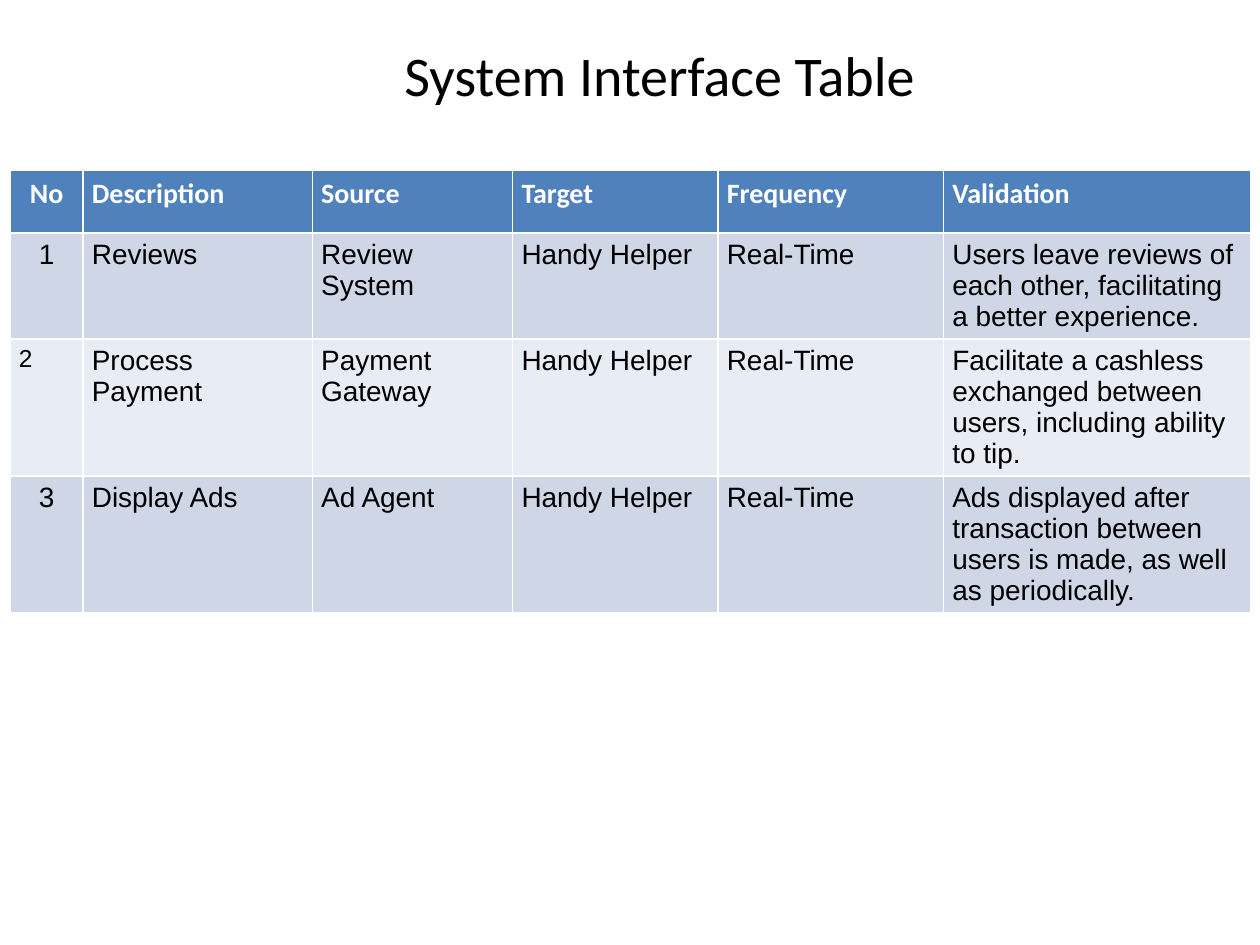
from pptx import Presentation
from pptx.dml.color import RGBColor
from pptx.enum.text import MSO_ANCHOR, MSO_AUTO_SIZE, PP_ALIGN
from pptx.util import Inches, Pt

LEFT, CENTER = PP_ALIGN.LEFT, PP_ALIGN.CENTER
TOP, NO_AUTOFIT = MSO_ANCHOR.TOP, MSO_AUTO_SIZE.NONE
TITLE_ONLY = 5

TITLE = "System Interface Table"
ROWS = [
    ("No", "Description", "Source", "Target", "Frequency", "Validation"),
    ("1", "Reviews", "Review System", "Handy Helper", "Real-Time",
     "Users leave reviews of each other, facilitating a better experience."),
    ("2", "Process Payment", "Payment Gateway", "Handy Helper", "Real-Time",
     "Facilitate a cashless exchanged between users, including ability to tip."),
    ("3", "Display Ads", "Ad Agent", "Handy Helper", "Real-Time",
     "Ads displayed after transaction between users is made, as well as periodically."),
]
COLUMN_WIDTHS = [0.58, 1.82, 1.59, 1.63, 1.79, 2.44]
ROW_HEIGHT = 0.5
HEADER_FILL = "4F81BD"
BAND_FILLS = ["CFD7E7", "E8ECF4"]
TITLE_FORMAT = {"name": "Calibri", "size": Pt(32), "bold": False}
HEADER_FORMAT = {"name": "Calibri", "size": Pt(16), "bold": True}
BODY_FORMAT = {"name": "Arial", "size": Pt(16), "bold": False}
SMALL_CELL = (2, 0)


def color(value):
    return RGBColor.from_string(value)


def write(text_frame, text, font_format, font_color, alignment=LEFT):
    paragraph = text_frame.paragraphs[0]
    paragraph.alignment = alignment
    run = paragraph.add_run()
    run.text = text
    for name, value in font_format.items():
        setattr(run.font, name, value)
    run.font.color.rgb = color(font_color)


presentation = Presentation()
presentation.slide_width, presentation.slide_height = Inches(10), Inches(7.5)
slide = presentation.slides.add_slide(presentation.slide_layouts[TITLE_ONLY])

title = slide.shapes.title
title_box = {"left": 3.11, "top": 0.27, "width": 4.29, "height": 0.64}
for name, value in title_box.items():
    setattr(title, name, Inches(value))
frame_format = {"vertical_anchor": TOP, "auto_size": NO_AUTOFIT, "word_wrap": True}
for name, value in frame_format.items():
    setattr(title.text_frame, name, value)
write(title.text_frame, TITLE, TITLE_FORMAT, "000000")

table = slide.shapes.add_table(
    len(ROWS), len(COLUMN_WIDTHS), Inches(0.08), Inches(1.35),
    Inches(sum(COLUMN_WIDTHS)), Inches(ROW_HEIGHT * len(ROWS))).table
for column, width in zip(table.columns, COLUMN_WIDTHS):
    column.width = Inches(width)

for row_index, values in enumerate(ROWS):
    table.rows[row_index].height = Inches(ROW_HEIGHT)
    is_header = row_index == 0
    fill = HEADER_FILL if is_header else BAND_FILLS[(row_index - 1) % 2]
    row_format = HEADER_FORMAT if is_header else BODY_FORMAT
    font_color = "FFFFFF" if is_header else "000000"
    for column_index, text in enumerate(values):
        cell = table.cell(row_index, column_index)
        cell.fill.solid()
        cell.fill.fore_color.rgb = color(fill)
        cell.margin_left = cell.margin_right = Inches(0.07)
        is_small = (row_index, column_index) == SMALL_CELL
        cell_format = {**row_format, "size": Pt(14)} if is_small else row_format
        alignment = CENTER if column_index == 0 and not is_small else LEFT
        write(cell.text_frame, text, cell_format, font_color, alignment)

presentation.save("out.pptx")
